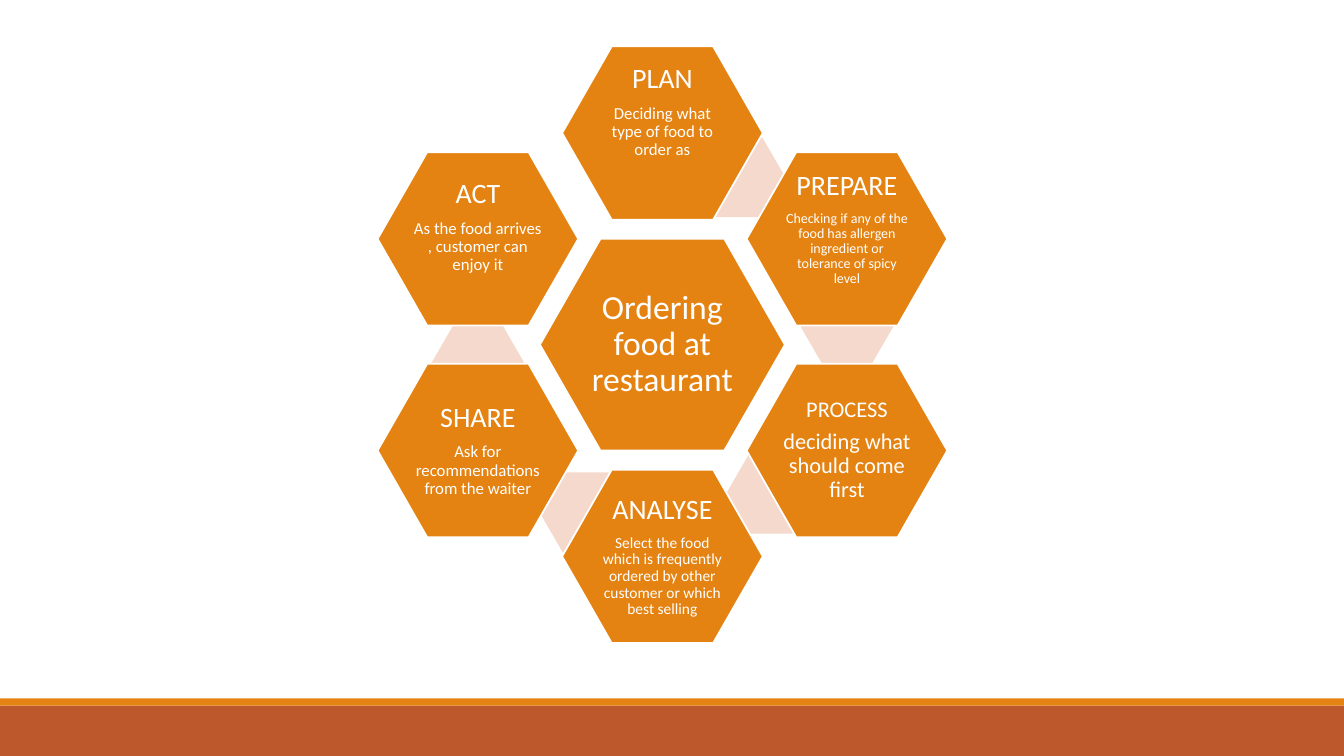
from pptx import Presentation
from pptx.dml.color import RGBColor
from pptx.enum.shapes import MSO_SHAPE
from pptx.enum.text import MSO_ANCHOR, PP_ALIGN
from pptx.util import Inches, Pt

ORANGE, RUST, BLUSH, WHITE = "E48312", "BD582C", "F5D9CC", "FFFFFF"
TOPIC = [("Ordering food at restaurant", 24)]
STEPS = [
    ((0, -2), 0.42, [("PLAN", 20), ("Deciding what type of food to order as", 12)]),
    ((1, -1), 0.2, [("PREPARE", 20), ("Checking if any of the food has allergen ingredient "
                                      "or tolerance of spicy level", 10)]),
    ((1, 1), 0, [("PROCESS", 16), ("deciding what should come first", 16)]),
    ((0, 2), 0, [("ANALYSE", 20), ("Select the food which is frequently ordered by other "
                                   "customer or which best selling", 11)]),
    ((-1, 1), 0, [("SHARE", 20), ("Ask for recommendations from the waiter", 12)]),
    ((-1, -1), 0.24, [("ACT", 20), ("As the food arrives , customer can enjoy it", 12)]),
]
LINKS = [(0.76, -1.66), (1.83, -0.18), (1.09, 1.48), (-0.76, 1.66), (-1.83, 0.18)]
BARS = [(7, 0.5, RUST), (6.93, 0.07, ORANGE)]

SLIDE_WIDTH, SLIDE_HEIGHT = 13.33, 7.5
CENTER_X, CENTER_Y = 6.57, 3.42
COLUMN_STEP, ROW_STEP = 1.83, 1.05
TOPIC_SIZE, STEP_SIZE, LINK_SIZE = (2.43, 2.1), (1.99, 1.72), (0.92, 0.79)
INSET = 0.03
PARAGRAPH_FORMAT = {"alignment": PP_ALIGN.CENTER, "line_spacing": 0.9}
FRAME_FORMAT = {"word_wrap": True, "vertical_anchor": MSO_ANCHOR.MIDDLE,
                "margin_left": Inches(INSET), "margin_right": Inches(INSET),
                "margin_top": Inches(INSET)}


def apply_format(target, values):
    for name, value in values.items():
        setattr(target, name, value)


def paint(color_format, color):
    color_format.rgb = RGBColor.from_string(color)


def add_block(slide, preset, left, top, width, height, color):
    block = slide.shapes.add_shape(
        preset, Inches(left), Inches(top), Inches(width), Inches(height))
    block.shadow.inherit = False
    block.fill.solid()
    paint(block.fill.fore_color, color)
    block.line.fill.background()
    return block


def add_hexagon(slide, offset, size, color, corner):
    width, height = size
    hexagon = add_block(slide, MSO_SHAPE.HEXAGON, CENTER_X + offset[0] - width / 2,
                        CENTER_Y + offset[1] - height / 2, width, height, color)
    hexagon.adjustments[0] = corner
    return hexagon


def add_step(slide, offset, size, lines, lift=0):
    hexagon = add_hexagon(slide, offset, size, ORANGE, 0.286)
    paint(hexagon.line.color, WHITE)
    hexagon.line.width = Pt(1.25)
    frame = hexagon.text_frame
    apply_format(frame, FRAME_FORMAT)
    frame.margin_bottom = Inches(INSET + lift)
    for index, (wording, points) in enumerate(lines):
        paragraph = frame.add_paragraph() if index else frame.paragraphs[0]
        apply_format(paragraph, PARAGRAPH_FORMAT)
        paragraph.space_after = Pt(0.35 * points)
        run = paragraph.add_run()
        run.text = wording
        apply_format(run.font, {"name": "Calibri", "size": Pt(points)})
        paint(run.font.color, WHITE)


def main():
    deck = Presentation()
    apply_format(deck, {"slide_width": Inches(SLIDE_WIDTH),
                        "slide_height": Inches(SLIDE_HEIGHT)})
    slide = deck.slides.add_slide(deck.slide_layouts[6])
    for top, height, color in BARS:
        add_block(slide, MSO_SHAPE.RECTANGLE, 0, top, SLIDE_WIDTH, height, color)
    for offset in LINKS:
        add_hexagon(slide, offset, LINK_SIZE, BLUSH, 0.289)
    add_step(slide, (0, 0), TOPIC_SIZE, TOPIC)
    for (column, row), lift, lines in STEPS:
        add_step(slide, (column * COLUMN_STEP, row * ROW_STEP), STEP_SIZE, lines, lift)
    deck.save("out.pptx")


if __name__ == "__main__":
    main()
